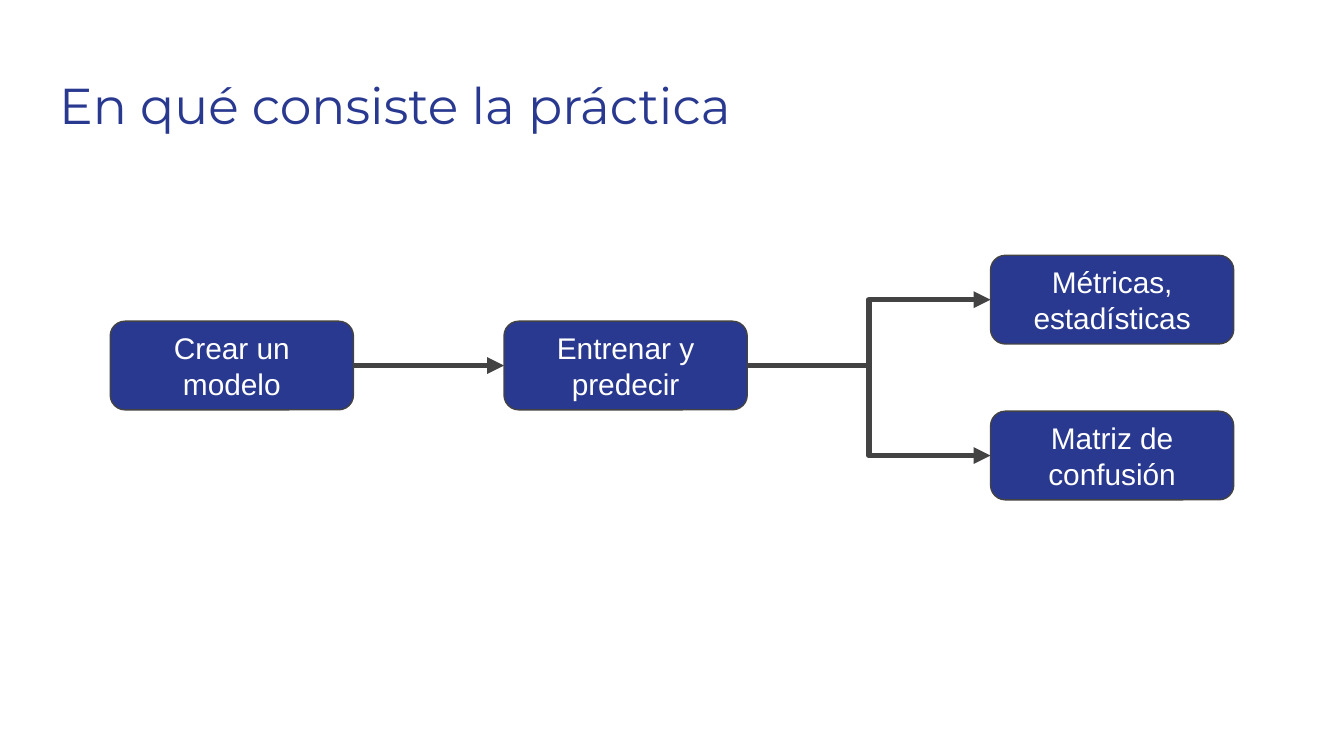
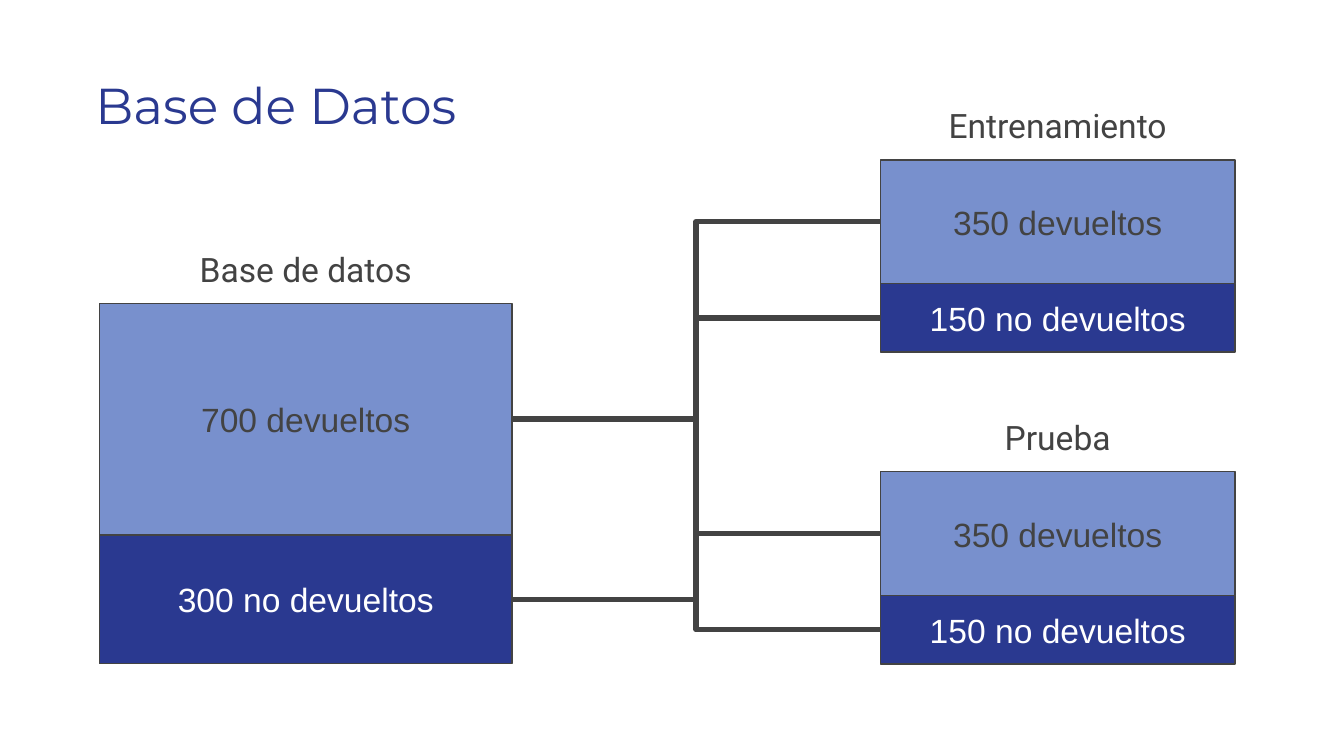
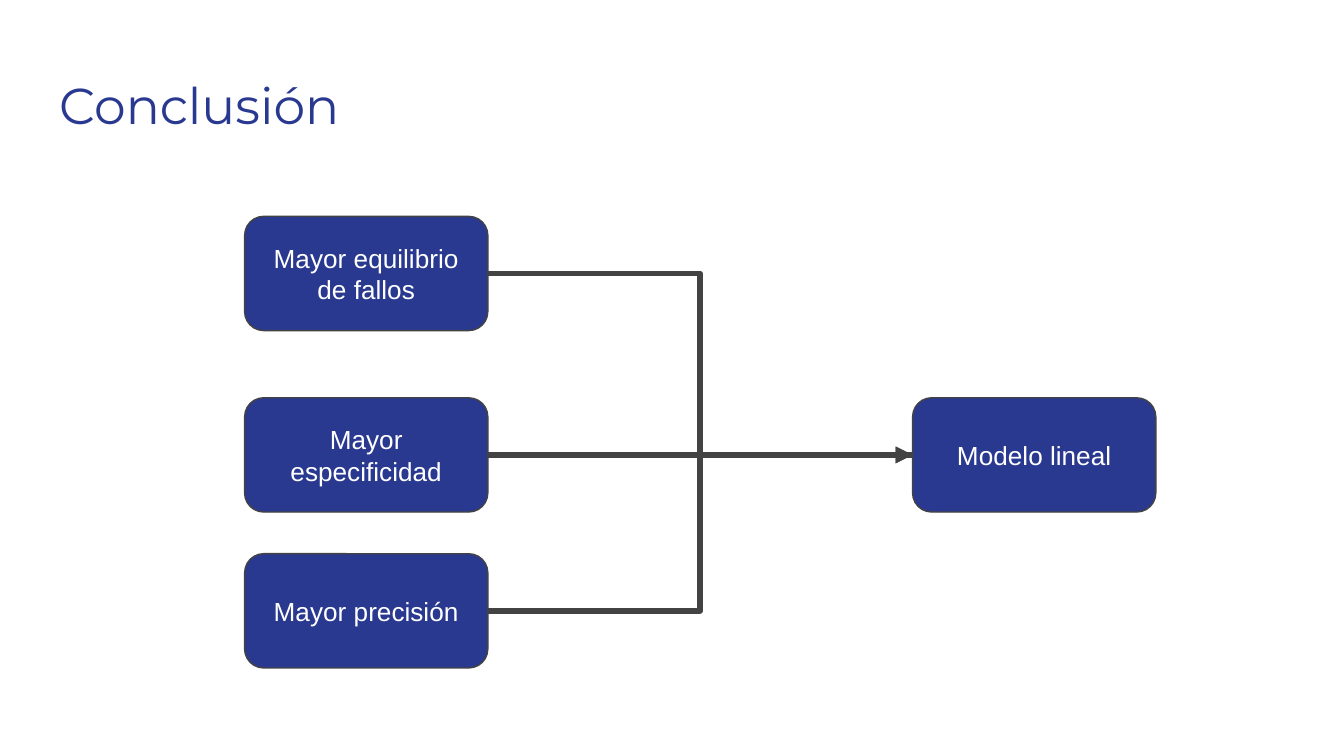
import pptx
import pptx.dml.color
import pptx.enum.shapes
import pptx.enum.text
import pptx.oxml.ns
import pptx.util
from lxml import etree

Inches = pptx.util.Inches
RGBColor = pptx.dml.color.RGBColor
Align = pptx.enum.text.PP_ALIGN
Anchor = pptx.enum.text.MSO_ANCHOR
Shape = pptx.enum.shapes.MSO_SHAPE
Connector = pptx.enum.shapes.MSO_CONNECTOR

NAVY = RGBColor(0x2A, 0x39, 0x90)
SKY = RGBColor(0x78, 0x90, 0xCD)
GRAY = RGBColor(0x43, 0x43, 0x43)
WHITE = RGBColor(0xFF, 0xFF, 0xFF)
LEFT_SIDE, RIGHT_SIDE = 1, 3

FRAME = {
    "word_wrap": True,
    "auto_size": pptx.enum.text.MSO_AUTO_SIZE.NONE,
    "margin_left": Inches(0.1),
    "margin_right": Inches(0.1),
    "margin_top": Inches(0.1),
    "margin_bottom": Inches(0.1),
}


def write(shape, text, size, color=WHITE, font="Arial", fill=None,
          align=Align.CENTER, anchor=Anchor.MIDDLE):
    """Set the text of a shape and, when a fill is given, its fill and outline."""
    frame = shape.text_frame
    for name, value in {**FRAME, "vertical_anchor": anchor}.items():
        setattr(frame, name, value)
    paragraph = frame.paragraphs[0]
    paragraph.alignment = align
    run = paragraph.add_run()
    run.text = text
    for name, value in {"name": font, "size": pptx.util.Pt(size)}.items():
        setattr(run.font, name, value)
    run.font.color.rgb = color
    if fill is not None:
        shape.shadow.inherit = False
        shape.fill.solid()
        shape.fill.fore_color.rgb = fill
        shape.line.color.rgb = GRAY
        shape.line.width = pptx.util.Pt(0.75)
    return shape


def join(slide, start, end, kind=Connector.ELBOW, arrow=True):
    """Connect the right side of one shape to the left side of another."""
    connector = slide.shapes.add_connector(kind, 0, 0, 0, 0)
    connector.begin_connect(start, RIGHT_SIDE)
    connector.end_connect(end, LEFT_SIDE)
    connector.line.color.rgb = GRAY
    connector.line.width = pptx.util.Pt(3)
    properties = connector._element.spPr
    if arrow:
        line = properties.find(pptx.oxml.ns.qn("a:ln"))
        etree.SubElement(line, pptx.oxml.ns.qn("a:tailEnd"), type="triangle")
    etree.SubElement(properties, pptx.oxml.ns.qn("a:effectLst"))


presentation = pptx.Presentation()
presentation.slide_width = Inches(10)
presentation.slide_height = presentation.slide_width * 9 // 16

# Slides and titles
slides = []
for title_text, title_left in [
    ("En qué consiste la práctica", 0.34),
    ("Base de Datos", 0.61),
    ("Conclusión", 0.34),
]:
    slide = presentation.slides.add_slide(presentation.slide_layouts[5])
    title = slide.shapes.title
    place = {"left": title_left, "top": 0.45, "width": 9.32, "height": 0.66}
    for name, value in place.items():
        setattr(title, name, Inches(value))
    write(title, title_text, 27, NAVY, "Montserrat", align=Align.LEFT, anchor=Anchor.TOP)
    slides.append(slide)
practice_slide, data_slide, conclusion_slide = slides

# Steps of the practice
steps = []
for text, left, top in [
    ("Crear un modelo", 0.82, 2.39),
    ("Entrenar y predecir", 3.75, 2.39),
    ("Matriz de confusión", 7.37, 3.06),
    ("Métricas, estadísticas", 7.37, 1.9),
]:
    area = map(Inches, (left, top, 1.81, 0.66))
    box = practice_slide.shapes.add_shape(Shape.ROUNDED_RECTANGLE, *area)
    steps.append(write(box, text, 16, fill=NAVY))
create, train, matrix, metrics = steps
join(practice_slide, create, train, Connector.STRAIGHT)
for result in (metrics, matrix):
    join(practice_slide, train, result)

# Database split into training and test sets
LABEL_HEIGHT = 0.51
stacks = []
for container, label, label_width, left, top, width, bands in [
    (data_slide.shapes, "Base de datos", 1.9, 0.74, 2.26, 3.07,
     [("700 devueltos", 1.72), ("300 no devueltos", 0.96)]),
    (data_slide.shapes.add_group_shape().shapes, "Entrenamiento", 1.9, 6.55, 1.19, 2.64,
     [("350 devueltos", 0.92), ("150 no devueltos", 0.51)]),
    (data_slide.shapes.add_group_shape().shapes, "Prueba", 1, 6.55, 3.51, 2.64,
     [("350 devueltos", 0.92), ("150 no devueltos", 0.51)]),
]:
    label_left = left + (width - label_width) / 2
    area = map(Inches, (label_left, top - LABEL_HEIGHT, label_width, LABEL_HEIGHT))
    write(container.add_textbox(*area), label, 18, GRAY, "Roboto", anchor=Anchor.TOP)
    stack = []
    for (text, height), fill, color in zip(bands, (SKY, NAVY), (GRAY, WHITE)):
        area = map(Inches, (left, top, width, height))
        band = container.add_shape(Shape.RECTANGLE, *area)
        stack.append(write(band, text, 18, color, fill=fill))
        top += height
    stacks.append(stack)
database, *subsets = stacks
for subset in subsets:
    for source, part in zip(database, subset):
        join(data_slide, source, part, arrow=False)

# Reasons that lead to the linear model
conclusion_boxes = []
for text, left, top in [
    ("Modelo lineal", 6.79, 2.96),
    ("Mayor equilibrio de fallos", 1.82, 1.61),
    ("Mayor especificidad", 1.82, 2.96),
    ("Mayor precisión", 1.82, 4.12),
]:
    area = map(Inches, (left, top, 1.81, 0.85))
    box = conclusion_slide.shapes.add_shape(Shape.ROUNDED_RECTANGLE, *area)
    conclusion_boxes.append(write(box, text, 14, fill=NAVY))
model, balance, specificity, precision = conclusion_boxes
for reason in (balance, specificity, precision):
    join(conclusion_slide, reason, model, arrow=reason is not precision)

presentation.save("out.pptx")
